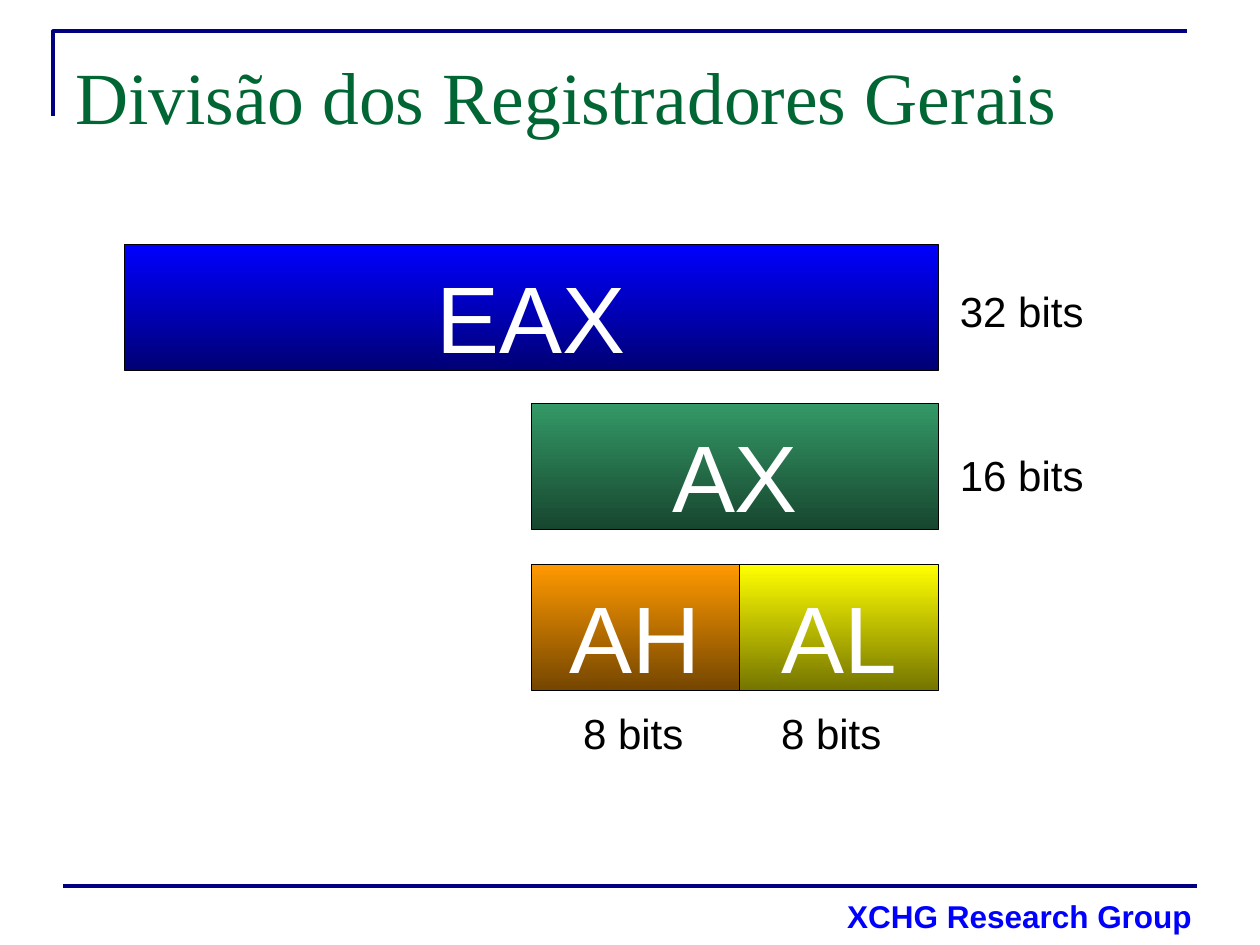
import pptx
import pptx.dml.color
import pptx.enum.shapes
import pptx.enum.text
import pptx.oxml.ns
import pptx.util
from lxml import etree

Cm = pptx.util.Cm
Pt = pptx.util.Pt
Align = pptx.enum.text.PP_ALIGN


def colour(code):
    """Return the colour for a hex string."""
    return pptx.dml.color.RGBColor.from_string(code)


def style_line(line, code, width):
    """Set the colour and the width in points of a line."""
    line.color.rgb = colour(code)
    line.width = Pt(width)


def write(shape, text, size, code, align=Align.LEFT, name="Arial", bold=False):
    """Put one top-anchored paragraph in a shape, lowered in step with its size."""
    frame = shape.text_frame
    frame.word_wrap = True
    frame.auto_size = pptx.enum.text.MSO_AUTO_SIZE.NONE
    frame.vertical_anchor = pptx.enum.text.MSO_ANCHOR.TOP
    frame.margin_left = frame.margin_right = Cm(0.25)
    frame.margin_top = Cm(0.13) + Pt(0.09 * size)
    frame.margin_bottom = 0
    para = frame.paragraphs[0]
    para.text = text
    para.alignment = align
    para.font.name = name
    para.font.size = Pt(size)
    para.font.bold = bold
    para.font.color.rgb = colour(code)


def add_text(page, left, top, width, height, text, size, code, **style):
    """Add a text box holding one paragraph."""
    box = page.shapes.add_textbox(Cm(left), Cm(top), Cm(width), Cm(height))
    write(box, text, size, code, **style)


def add_title(page, left, top, width, height, text):
    """Place and format the title placeholder."""
    title = page.shapes.title
    title.left, title.top = Cm(left), Cm(top)
    title.width, title.height = Cm(width), Cm(height)
    write(title, text, 42, "006633", name="Times New Roman")


def add_corner(page, left, top, width, height):
    """Draw the open corner that frames the title."""
    builder = page.shapes.build_freeform(Cm(left), Cm(top + height))
    builder.add_line_segments(
        [(Cm(left), Cm(top)), (Cm(left + width), Cm(top))], close=False
    )
    corner = builder.convert_to_shape()
    corner.shadow.inherit = False
    corner.fill.background()
    style_line(corner.line, "000080", 2)


def add_footer(page, left, top, width, text):
    """Draw the footer rule with the group name below it."""
    rule = page.shapes.add_connector(
        pptx.enum.shapes.MSO_CONNECTOR.STRAIGHT,
        Cm(left), Cm(top), Cm(left + width), Cm(top),
    )
    style_line(rule.line, "000080", 2.75)
    properties = rule._element.spPr
    etree.SubElement(properties, pptx.oxml.ns.qn("a:effectLst"))
    add_text(page, left - 0.38, top + 0.03, width + 0.53, 2.18, text, 18,
             "0000FF", align=Align.RIGHT, bold=True)


def add_register(page, left, top, width, height, name, light, dark):
    """Draw a register as a bar shaded from light to dark."""
    bar = page.shapes.add_shape(
        pptx.enum.shapes.MSO_SHAPE.RECTANGLE,
        Cm(left), Cm(top), Cm(width), Cm(height),
    )
    bar.shadow.inherit = False
    bar.fill.gradient()
    bar.fill.gradient_angle = 270
    for stop, code in zip(bar.fill.gradient_stops, (light, dark)):
        stop.color.rgb = colour(code)
    style_line(bar.line, "000000", 0.75)
    write(bar, name, 54, "FFFFFF", align=Align.CENTER)


def add_diagram(page, left, top, width):
    """Show how the 32-bit register divides into smaller ones."""
    height = 2.54
    half = width / 2
    right = left + width
    high_width = 4.19
    word_top, byte_top = top + 3.2, top + 6.45
    registers = [
        (left, top, width, "EAX", "0000FF", "000075"),
        (right - half, word_top, half, "AX", "339966", "17462F"),
        (right - half, byte_top, high_width, "AH", "FF9900", "754600"),
        (right - half + high_width, byte_top, half - high_width, "AL", "FFFF00", "757500"),
    ]
    for bar_left, bar_top, bar_width, name, light, dark in registers:
        add_register(page, bar_left, bar_top, bar_width, height, name, light, dark)

    byte_label_top = byte_top + height + 0.13
    labels = [
        (right + 0.18, top + 0.61, 5.21, "32 bits"),
        (right + 0.18, word_top + 0.73, 5.21, "16 bits"),
        (right - half + 0.79, byte_label_top, 2.79, "8 bits"),
        (right - half + 4.78, byte_label_top, 2.79, "8 bits"),
    ]
    for label_left, label_top, label_width, text in labels:
        add_text(page, label_left, label_top, label_width, 1.27, text, 24, "000000")


def main():
    """Build and save the deck."""
    deck = pptx.Presentation()
    deck.slide_width, deck.slide_height = Cm(25.4), Cm(19.05)
    page = deck.slides.add_slide(deck.slide_layouts[5])
    add_corner(page, 1.07, 0.63, 22.86, 1.7)
    add_footer(page, 1.27, 17.86, 22.86, "XCHG Research Group")
    add_title(page, 1.27, 0.76, 22.86, 3.18, "Divisão dos Registradores Gerais")
    add_diagram(page, 2.51, 4.93, 16.41)
    deck.save("out.pptx")


if __name__ == "__main__":
    main()
